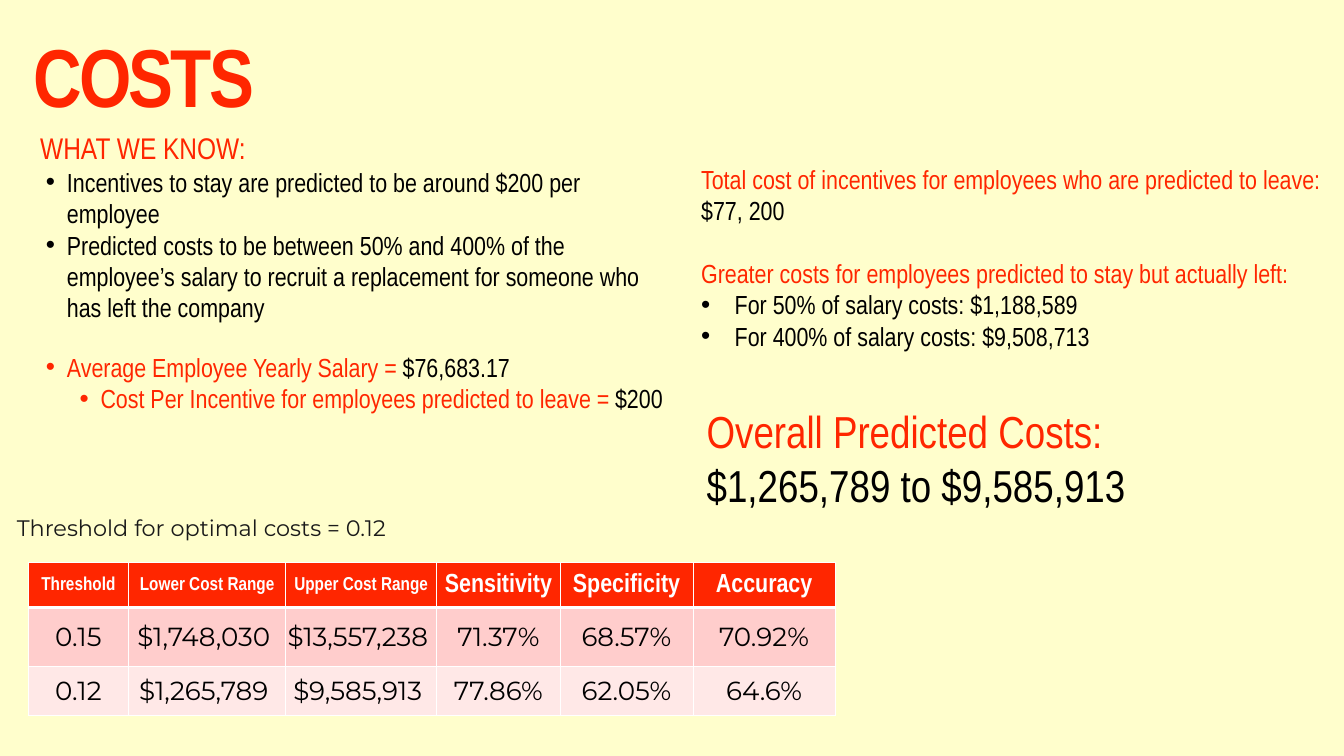
"""Build the COSTS slide: cost assumptions, predicted totals and a threshold table."""
from lxml import etree
from pptx import Presentation, util as u
from pptx.dml.color import RGBColor
from pptx.enum import text as t
from pptx.oxml import ns

Pt = u.Pt
RED, BLACK, WHITE, INK = "FF2600", "000000", "FFFFFF", "1A1A1A"
NARROW, ROUND = "Arial Narrow", "Montserrat"
hex_color = RGBColor.from_string


def write(paragraph, pieces, size, face=NARROW, bold=False):
    """Fill a paragraph with (wording, colour) pieces in one font."""
    paragraph.font.size = Pt(size)
    paragraph.font.name = face
    paragraph.font.bold = bold
    paragraph.space_before = Pt(0)
    if len({color for _, color in pieces}) == 1:
        paragraph.font.color.rgb = hex_color(pieces[0][1])
    for wording, color in pieces:
        run = paragraph.add_run()
        run.text = wording
        if len(pieces) > 1:
            run.font.color.rgb = hex_color(color)


def write_list(frame, items, size=28):
    """Write (pieces, left indent, hanging indent, space before) items; no hang means no bullet."""
    frame.word_wrap = True
    frame.auto_size = t.MSO_AUTO_SIZE.NONE
    for number, (pieces, left, hang, gap) in enumerate(items):
        paragraph = frame.add_paragraph() if number else frame.paragraphs[0]
        write(paragraph, pieces, size)
        paragraph.space_before = Pt(gap)
        properties = paragraph._p.get_or_add_pPr()
        properties.set("marL", str(Pt(left)))
        properties.set("indent", str(-Pt(hang)))
        if hang:
            font = etree.Element(ns.qn("a:buFont"), typeface="Arial")
            bullet = etree.Element(ns.qn("a:buChar"), char="•")
        else:
            font, bullet = None, etree.Element(ns.qn("a:buNone"))
        default = properties.find(ns.qn("a:defRPr"))
        for element in (font, bullet):
            if element is not None:
                default.addprevious(element)


deck = Presentation()
deck.slide_width, deck.slide_height = Pt(1440), Pt(810)
slide = deck.slides.add_slide(deck.slide_layouts[3])
slide.background.fill.solid()
slide.background.fill.fore_color.rgb = hex_color("FFFECC")

title, known, totals = list(slide.placeholders)[:3]
threshold, heading, overall = [slide.shapes.add_textbox(0, 0, 0, 0) for _ in range(3)]
places = [
    (title, 36, 39, 372, 102),
    (known, 42, 153, 678, 363),
    (totals, 744, 171, 678, 211),
    (threshold, 18, 531, 589, 58),
    (heading, 36, 135, 576, 46),
    (overall, 750, 429, 558, 124),
]
for part, left, top, width, height in places:
    part.left, part.top, part.width, part.height = Pt(left), Pt(top), Pt(width), Pt(height)

lines = [
    (title, "COSTS", 88, NARROW, True, RED, 0.78),
    (threshold, "Threshold for optimal costs = 0.12", 24, ROUND, False, INK, 1.33),
]
for part, wording, size, face, bold, color, spacing in lines:
    frame = part.text_frame
    frame.word_wrap = True
    frame.auto_size = t.MSO_AUTO_SIZE.NONE
    frame.vertical_anchor = t.MSO_ANCHOR.MIDDLE
    frame.margin_left = frame.margin_right = frame.margin_top = frame.margin_bottom = 0
    write(frame.paragraphs[0], [(wording, color)], size, face, bold)
    frame.paragraphs[0].alignment = t.PP_ALIGN.LEFT
    frame.paragraphs[0].line_spacing = spacing
title.text_frame.paragraphs[0].runs[0].font._element.set("spc", "-300")

known.text_frame.margin_top = Pt(25)
write_list(known.text_frame, [
    ([("Incentives to stay are predicted to be around $200 per employee", BLACK)], 22.5, 22.5, 0),
    ([("Predicted costs to be between 50% and 400% of the employee’s salary to recruit "
       "a replacement for someone who has left the company", BLACK)], 22.5, 22.5, 0),
    ([("Average Employee Yearly Salary = ", RED), ("$76,683.17", BLACK)], 22.5, 22.5, 30),
    ([("Cost Per Incentive for employees predicted to leave = ", RED), ("$200", BLACK)],
     58.5, 22.5, 0),
])
known.text_frame.paragraphs[-1].level = 1
write_list(totals.text_frame, [
    ([("Total cost of incentives for employees who are predicted to leave:", RED)], 0, 0, 0),
    ([("$77, 200", BLACK)], 0, 0, 0),
    ([("Greater costs for employees predicted to stay but actually left:", RED)], 0, 0, 34),
    ([("For 50% of salary costs: $1,188,589", BLACK)], 36, 36, 0),
    ([("For 400% of salary costs: $9,508,713", BLACK)], 36, 36, 0),
])
write_list(heading.text_frame, [([("WHAT WE KNOW:", RED)], 0, 0, 0)], 32)
write_list(overall.text_frame, [
    ([("Overall Predicted Costs:", RED)], 0, 0, 0),
    ([("$1,265,789 to $9,585,913", BLACK)], 0, 0, 0),
], 48)

results = [
    ["Threshold", "Lower Cost Range", "Upper Cost Range", "Sensitivity", "Specificity", "Accuracy"],
    ["0.15", "$1,748,030 ", "$13,557,238 ", "71.37%", "68.57%", "70.92%"],
    ["0.12", "$1,265,789 ", "$9,585,913 ", "77.86%", "62.05%", "64.6%"],
]
row_fills = [RED, "FFCDCC", "FFE8E7"]
table = slide.shapes.add_table(3, 6, Pt(30), Pt(603), Pt(865), Pt(163)).table
for column, width in zip(table.columns, [108, 168, 162, 132, 142.5, 152.5]):
    column.width = Pt(width)
for row, height in zip(table.rows, [48, 62.5, 52.5]):
    row.height = Pt(height)

for r, values in enumerate(results):
    for c, value in enumerate(values):
        cell = table.cell(r, c)
        cell.fill.solid()
        cell.fill.fore_color.rgb = hex_color(row_fills[r])
        cell.vertical_anchor = t.MSO_ANCHOR.MIDDLE
        cell.margin_left = cell.margin_right = cell.margin_top = Pt(0.75)
        cell.margin_bottom = 0
        paragraph = cell.text_frame.paragraphs[0]
        paragraph.alignment = t.PP_ALIGN.CENTER
        if r == 0:
            write(paragraph, [(value, WHITE)], 20 if c < 3 else 28, NARROW, True)
        else:
            write(paragraph, [(value, BLACK)], 28, ROUND)
        header_edge = {(0, "lnB"), (1, "lnT")}
        for place, side in enumerate(("lnL", "lnR", "lnT", "lnB")):
            weight = 3 if (r, side) in header_edge else 1
            border = etree.Element(ns.qn(f"a:{side}"), w=str(Pt(weight)))
            fill = etree.SubElement(border, ns.qn("a:solidFill"))
            etree.SubElement(fill, ns.qn("a:srgbClr"), val=WHITE)
            cell._tc.get_or_add_tcPr().insert(place, border)

deck.save("out.pptx")
